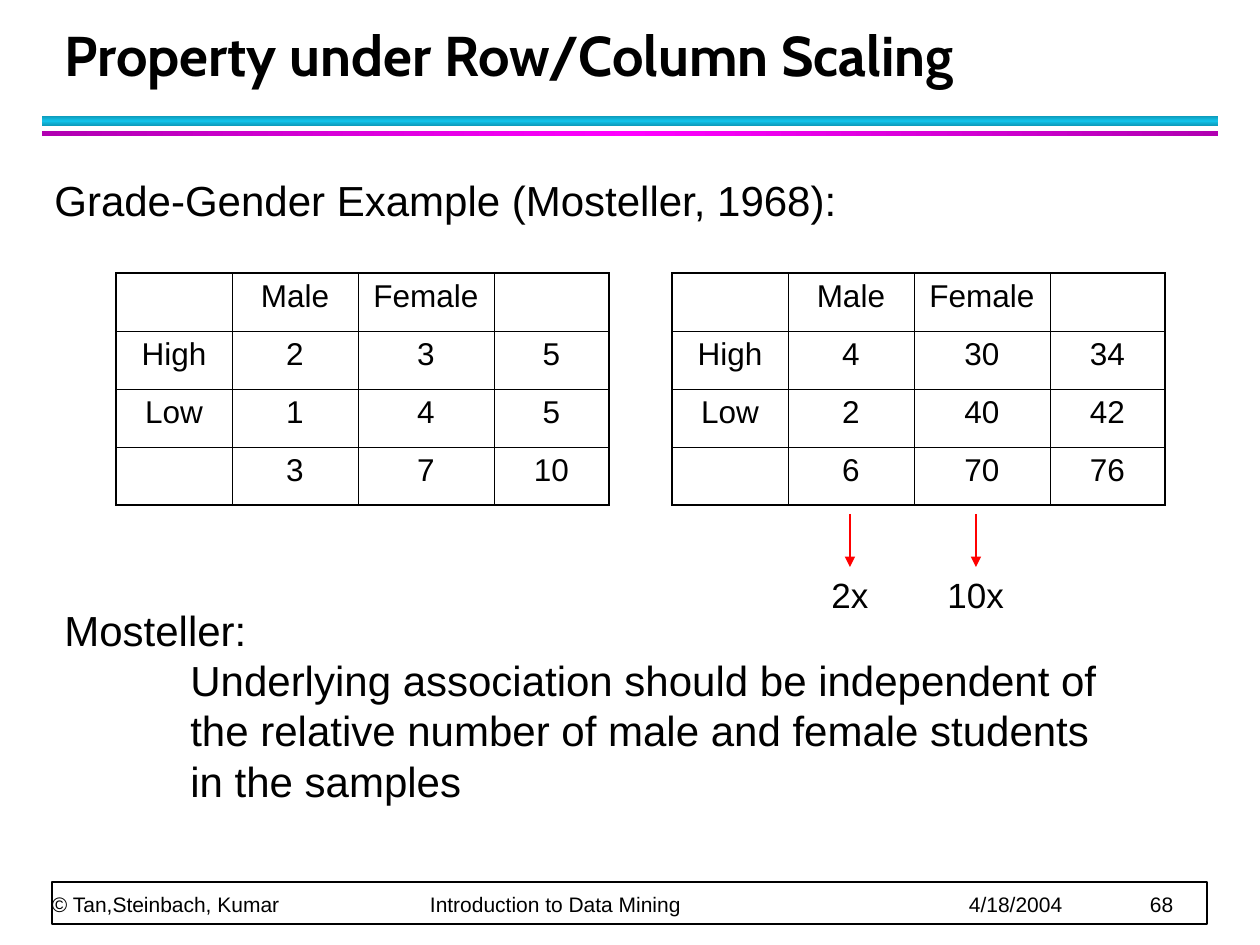
import copy

import pptx
import pptx.dml.color
import pptx.enum.shapes
import pptx.enum.text
import pptx.oxml
import pptx.oxml.ns
import pptx.util

PX = 7257  # EMU in one px, 126 px to the inch
Pt = pptx.util.Pt
qn = pptx.oxml.ns.qn
BLACK = "000000"


def color(value):
    return pptx.dml.color.RGBColor.from_string(value)


def add_text(slide, left, top, width, height, lines, size, spacing):
    box = slide.shapes.add_textbox(left * PX, top * PX, width * PX, height * PX)
    frame = box.text_frame
    frame.word_wrap = True
    frame.text = "\n".join(lines)
    for paragraph in frame.paragraphs:
        paragraph.line_spacing = Pt(spacing)
        paragraph.font.name = "Arial"
        paragraph.font.size = Pt(size)
        paragraph.font.color.rgb = color(BLACK)
    return frame


prs = pptx.Presentation()
prs.slide_width = 1260 * PX
prs.slide_height = 945 * PX
slide = prs.slides.add_slide(prs.slide_layouts[5])
RECTANGLE = pptx.enum.shapes.MSO_SHAPE.RECTANGLE

# Gradient bars under the title
for top, height, angle, edge, middle in [
    (116, 10, 90, "0E9AB9", "12C2E9"),
    (131, 5, 0, "B100B1", "FF00FF"),
]:
    bar = slide.shapes.add_shape(RECTANGLE, 42 * PX, top * PX, 1176 * PX, height * PX)
    bar.shadow.inherit = False
    bar.line.fill.background()
    bar.fill.gradient()
    bar.fill.gradient_angle = angle
    stop_list = next(bar.element.iter(qn("a:gsLst")))
    stop_list.insert(1, copy.deepcopy(stop_list[0]))
    for stop, position, shade in zip(
        bar.fill.gradient_stops, (0, 0.5, 1), (edge, middle, edge)
    ):
        stop.position = position
        stop.color.rgb = color(shade)

# Footer
footer_frame = slide.shapes.add_shape(RECTANGLE, 52 * PX, 882 * PX, 1155 * PX, 42 * PX)
footer_frame.shadow.inherit = False
footer_frame.fill.solid()
footer_frame.fill.fore_color.rgb = color("FFFFFF")
footer_frame.line.color.rgb = color(BLACK)
footer_frame.line.width = Pt(1)
footer = add_text(slide, 52, 847, 1153, 70, [""], 12, 20)
footer.margin_left = footer.margin_right = footer.margin_top = footer.margin_bottom = 0
footer.vertical_anchor = pptx.enum.text.MSO_ANCHOR.BOTTOM
footer_line = footer.paragraphs[0]
footer_line.text = "© Tan,Steinbach, Kumar\tIntroduction to Data Mining\t4/18/2004\t68"
tabs = pptx.oxml.parse_xml(f"<a:tabLst {pptx.oxml.ns.nsdecls('a')}/>")
for stop_at in (378, 917, 1098):
    tab = tabs.makeelement(qn("a:tab"), {"pos": str(stop_at * PX), "algn": "l"})
    tabs.append(tab)
footer_properties = footer_line._p.get_or_add_pPr()
footer_properties.find(qn("a:lnSpc")).addnext(tabs)

# Title
title = slide.shapes.title
title.left, title.top, title.width, title.height = (
    n * PX for n in (52, 21, 1142, 73)
)
title.text_frame.text = "Property under Row/Column Scaling"
title.text_frame.auto_size = pptx.enum.text.MSO_AUTO_SIZE.NONE
title.text_frame.vertical_anchor = pptx.enum.text.MSO_ANCHOR.BOTTOM
heading = title.text_frame.paragraphs[0]
heading.alignment = pptx.enum.text.PP_ALIGN.LEFT
heading.line_spacing = Pt(36)
heading.font.name = "Cabin"
heading.font.size = Pt(32)
heading.font.bold = True
heading.font.color.rgb = color(BLACK)

# Grade-by-gender tables, before and after scaling
before = [
    ["", "Male", "Female", ""],
    ["High", "2", "3", "5"],
    ["Low", "1", "4", "5"],
    ["", "3", "7", "10"],
]
after = [
    ["", "Male", "Female", ""],
    ["High", "4", "30", "34"],
    ["Low", "2", "40", "42"],
    ["", "6", "70", "76"],
]
for left, grades in [(116, before), (672, after)]:
    table = slide.shapes.add_table(
        4, 4, left * PX, 273 * PX, 493 * PX, 232 * PX
    ).table
    for column, width in zip(table.columns, (116, 126, 136, 115)):
        column.width = width * PX
    for row in table.rows:
        row.height = 58 * PX
    for r, values in enumerate(grades):
        for c, value in enumerate(values):
            cell = table.cell(r, c)
            cell.text = value
            entry = cell.text_frame.paragraphs[0]
            entry.alignment = pptx.enum.text.PP_ALIGN.CENTER
            entry.space_after = Pt(4)
            entry.font.name = "Arial"
            entry.font.size = Pt(18)
            entry.font.bold = False
            entry.font.color.rgb = color(BLACK)
            # Thick outer border, thin inner lines
            outer = {"L": c == 0, "R": c == 3, "T": r == 0, "B": r == 3}
            for side, is_outer in outer.items():
                width = Pt(1.08 if is_outer else 0.45)
                cell._tc.get_or_add_tcPr().append(pptx.oxml.parse_xml(
                    f'<a:ln{side} {pptx.oxml.ns.nsdecls("a")} w="{width}"><a:solidFill>'
                    f'<a:srgbClr val="{BLACK}"/></a:solidFill></a:ln{side}>'
                ))
            cell.fill.background()

# Statements
add_text(slide, 42, 168, 1061, 63, ["Grade-Gender Example (Mosteller, 1968):"], 24, 28.8)
claim = add_text(slide, 52, 598, 1061, 214, [
    "Mosteller:",
    "Underlying association should be independent of\v"
    "the relative number of male and female students\v"
    "in the samples",
], 24, 28.8)
claim.paragraphs[1]._p.get_or_add_pPr().set("marL", str(126 * PX))

# Scaling factors below the second table
for arrow_x, label_left, factor in [(850, 819, "2x"), (976, 935, "10x")]:
    arrow = slide.shapes.add_connector(
        pptx.enum.shapes.MSO_CONNECTOR.STRAIGHT,
        arrow_x * PX, 514 * PX, arrow_x * PX, 567 * PX,
    )
    arrow.line.color.rgb = color("FF0000")
    arrow.line.width = Pt(1)
    line = arrow.line._get_or_add_ln()
    line.append(line.makeelement(qn("a:tailEnd"), {"type": "triangle"}))
    arrow_properties = arrow.element.spPr
    arrow_properties.append(arrow_properties.makeelement(qn("a:effectLst"), {}))
    add_text(slide, label_left, 567, 84, 55, [factor], 20, 24)

prs.save("out.pptx")
